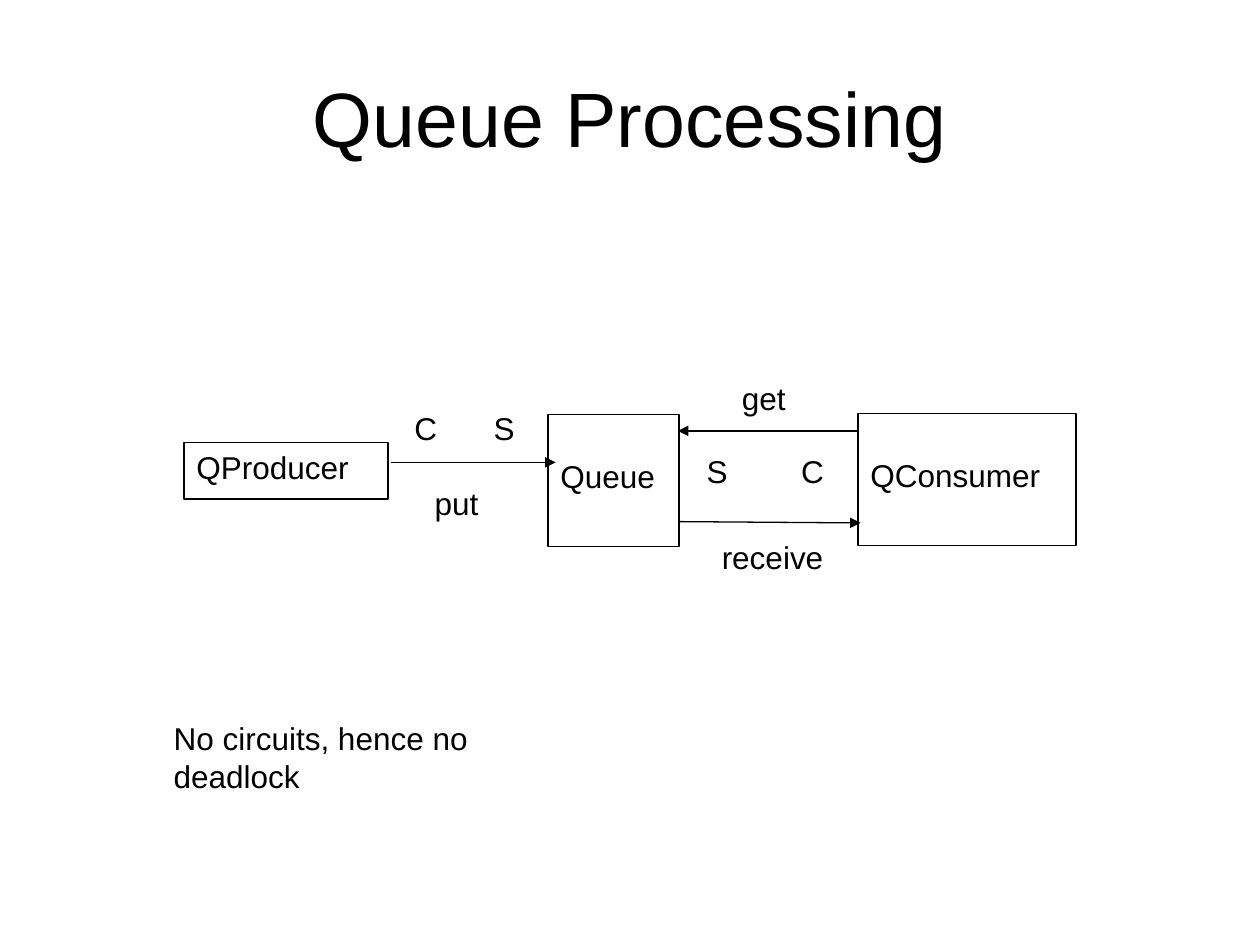
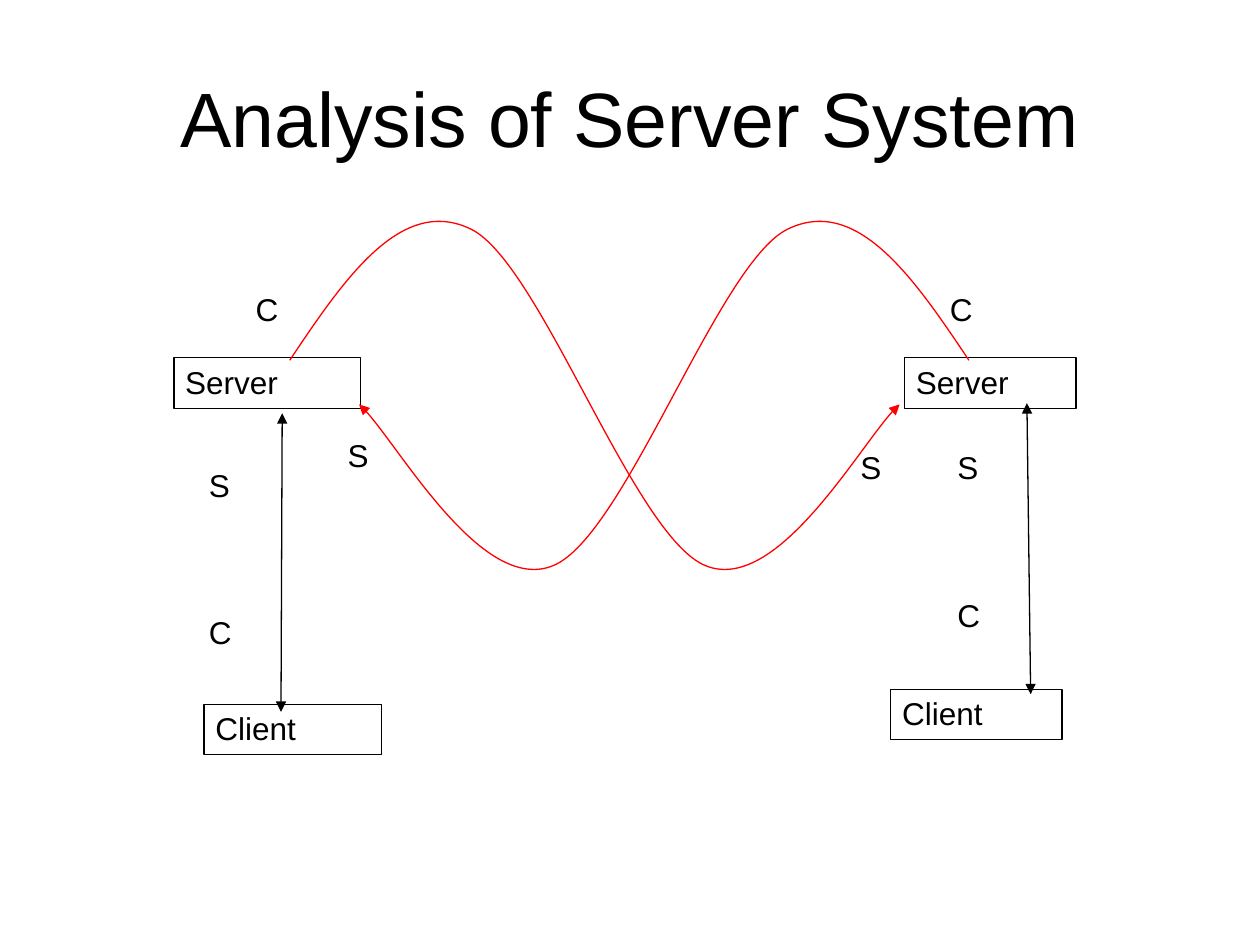
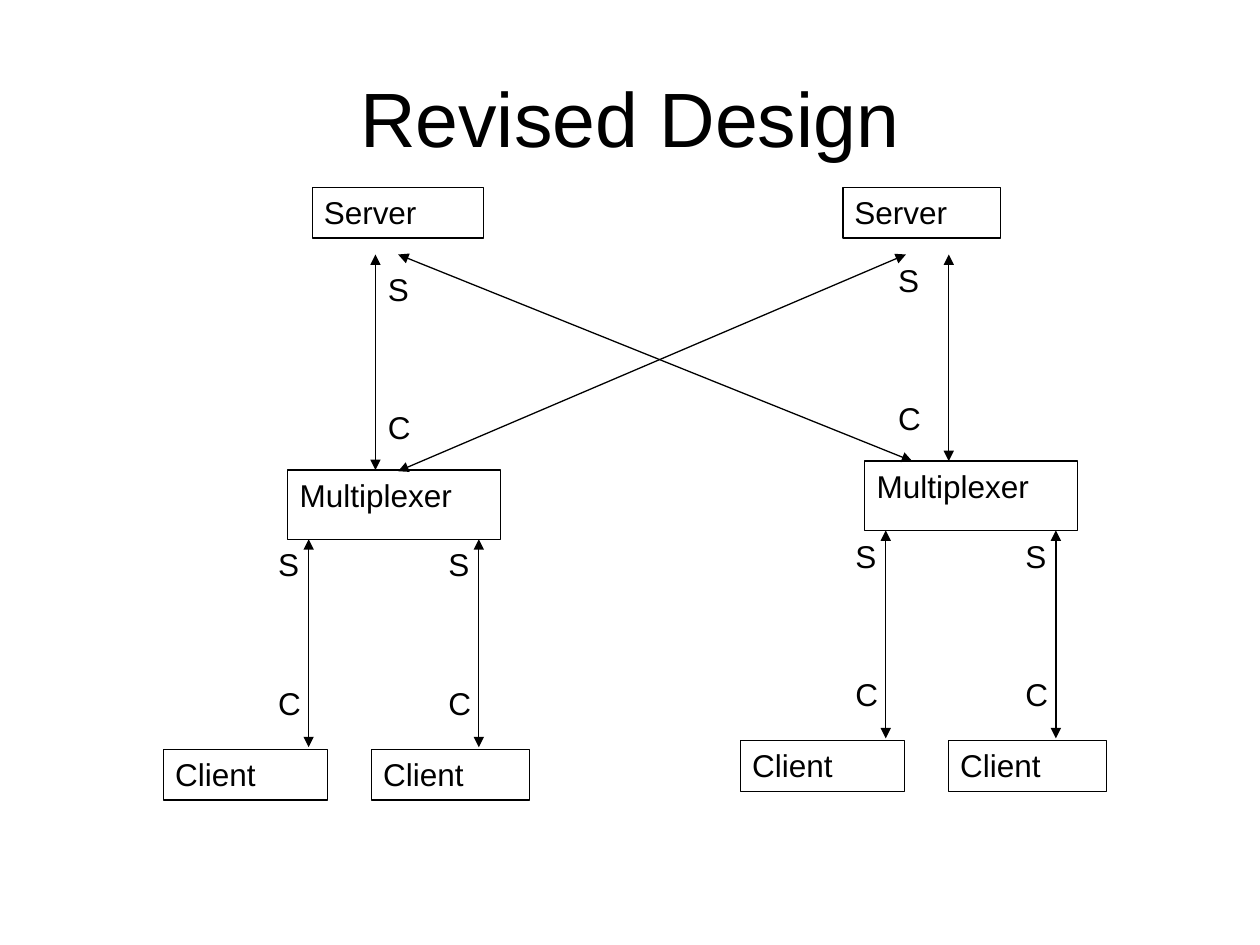
from dataclasses import dataclass
from typing import Optional

import pptx
import pptx.dml.color
import pptx.enum.shapes
import pptx.enum.text
import pptx.oxml
import pptx.oxml.ns
import pptx.presentation
import pptx.shapes.base
import pptx.slide
import pptx.util
from pptx.util import Inches

# Shared style
COLORS = {"paper": "FFFFFF", "ink": "000000", "cycle": "FF0000"}
FONT = {"name": "Arial", "bold": False}
BODY_SIZE, TITLE_SIZE = 18, 44
LINE_WIDTH = pptx.util.Pt(0.75)
LEFT = pptx.enum.text.PP_ALIGN.LEFT
CENTER = pptx.enum.text.PP_ALIGN.CENTER
TOP = pptx.enum.text.MSO_ANCHOR.TOP
MIDDLE = pptx.enum.text.MSO_ANCHOR.MIDDLE
LINE_HEIGHT = 0.29
BOX_HEIGHT = 0.4


@dataclass
class Box:
    text: str
    left: float
    top: float
    width: float
    height: float = BOX_HEIGHT
    filled: bool = False
    outlined: bool = True
    inset_x: float = 0.09
    inset_y: float = 0.04
    lines_above: int = 0


@dataclass
class Arrow:
    start: tuple[float, float]
    end: tuple[float, float]
    both_ends: bool = True


@dataclass
class Site:
    """A multiplexer, its server and its two clients."""
    left: float
    top: float
    server_left: float
    server_width: float
    link_x: float
    label_left: float


def node(text: str, left: float, top: float, width: float, height: float,
         lines_above: int = 0) -> Box:
    return Box(text, left, top, width, height, True, True, 0.1, 0.05, lines_above)


def label(text: str, left: float, top: float, width: float, height: float) -> Box:
    return Box(text, left, top, width, height, True, False, 0.1, 0.05)


def color(name: str) -> pptx.dml.color.RGBColor:
    return pptx.dml.color.RGBColor.from_string(COLORS[name])


def write_text(shape: pptx.shapes.base.BaseShape, text: str, size: int = BODY_SIZE,
               align=LEFT, **frame_format) -> None:
    frame = shape.text_frame
    for name, value in frame_format.items():
        setattr(frame, name, value)
    paragraph = frame.paragraphs[0]
    paragraph.alignment = align
    run = paragraph.add_run()
    run.text = text
    for name, value in {**FONT, "size": pptx.util.Pt(size)}.items():
        setattr(run.font, name, value)
    run.font.color.rgb = color("ink")


def draw_box(slide: pptx.slide.Slide, box: Box) -> None:
    shape = slide.shapes.add_shape(
        pptx.enum.shapes.MSO_SHAPE.RECTANGLE, Inches(box.left), Inches(box.top),
        Inches(box.width), Inches(box.height))
    shape.shadow.inherit = False
    if box.filled:
        shape.fill.solid()
        shape.fill.fore_color.rgb = color("paper")
    else:
        shape.fill.background()
    if box.outlined:
        shape.line.color.rgb = color("ink")
        shape.line.width = LINE_WIDTH
    else:
        shape.line.fill.background()
    write_text(shape, box.text, word_wrap=True, vertical_anchor=TOP,
               margin_left=Inches(box.inset_x), margin_right=Inches(box.inset_x),
               margin_top=Inches(box.inset_y + box.lines_above * LINE_HEIGHT),
               margin_bottom=Inches(box.inset_y))


def style_line(shape: pptx.shapes.base.BaseShape, color_name: str, both_ends: bool) -> None:
    shape.line.color.rgb = color(color_name)
    shape.line.width = LINE_WIDTH
    outline = shape.line._get_or_add_ln()
    for tag in ["a:headEnd", "a:tailEnd"] if both_ends else ["a:tailEnd"]:
        end = pptx.oxml.ns.qn(tag)
        outline.append(outline.makeelement(end, {"type": "triangle"}))


def draw_arrow(slide: pptx.slide.Slide, arrow: Arrow) -> None:
    points = [Inches(value) for value in (*arrow.start, *arrow.end)]
    connector = slide.shapes.add_connector(
        pptx.enum.shapes.MSO_CONNECTOR.STRAIGHT, *points)
    style_line(connector, "ink", arrow.both_ends)
    properties = connector._element.spPr
    properties.append(properties.makeelement(pptx.oxml.ns.qn("a:effectLst"), {}))


def draw_curve(slide: pptx.slide.Slide, points: list[tuple[float, float]]) -> None:
    """Draw Bézier curves through a start point and triples of control points."""
    start, *controls = [(Inches(x), Inches(y)) for x, y in points]
    builder = slide.shapes.build_freeform(*start)
    builder.add_line_segments(controls, close=False)
    shape = builder.convert_to_shape()
    shape.shadow.inherit = False
    shape.fill.background()
    style_line(shape, "cycle", False)
    # Join every three straight segments into one cubic segment
    segments = list(shape._element.iter(pptx.oxml.ns.qn("a:lnTo")))
    for first in range(0, len(segments), 3):
        outline = segments[first].getparent()
        cubic = outline.makeelement(pptx.oxml.ns.qn("a:cubicBezTo"), {})
        outline.append(cubic)
        for segment in segments[first:first + 3]:
            cubic.append(segment[0])
            outline.remove(segment)


def add_slide(presentation: pptx.presentation.Presentation, title: str,
              boxes: Optional[list[Box]] = None,
              arrows: Optional[list[Arrow]] = None) -> pptx.slide.Slide:
    slide = presentation.slides.add_slide(presentation.slide_layouts[6])
    slide.background.fill.solid()
    slide.background.fill.fore_color.rgb = color("paper")
    heading = slide.shapes.add_textbox(Inches(0.5), Inches(0.3), Inches(9), Inches(1.25))
    write_text(heading, title, TITLE_SIZE, CENTER, word_wrap=True, vertical_anchor=MIDDLE)
    for box in boxes or []:
        draw_box(slide, box)
    for arrow in arrows or []:
        draw_arrow(slide, arrow)
    return slide


# Slide 1
def add_queue_slide(presentation: pptx.presentation.Presentation) -> None:
    boxes = [
        node("QProducer", 1.46, 3.51, 1.62, 0.45),
        node("Queue", 4.35, 3.29, 1.04, 1.05, lines_above=1),
        node("QConsumer", 6.81, 3.28, 1.73, 1.05, lines_above=1),
    ]
    boxes += [label(text, left, top, width, 0.45) for text, left, top, width in [
        ("C", 3.19, 3.2, 0.39), ("S", 3.82, 3.2, 0.39), ("put", 3.35, 3.79, 0.65),
        ("C", 6.26, 3.54, 0.39), ("S", 5.51, 3.54, 0.39),
        ("get", 5.79, 2.96, 0.65), ("receive", 5.63, 4.22, 1.05)]]
    arrows = [
        Arrow((3.1, 3.67), (4.41, 3.67), False),
        Arrow((6.82, 3.42), (5.38, 3.42), False),
        Arrow((5.39, 4.14), (6.83, 4.15), False),
    ]
    slide = add_slide(presentation, "Queue Processing", boxes, arrows)
    note = slide.shapes.add_textbox(Inches(1.28), Inches(5.66), Inches(3.6), Inches(0.4))
    write_text(note, "No circuits, hence no deadlock", word_wrap=False)


# Slide 2
def add_analysis_slide(presentation: pptx.presentation.Presentation) -> None:
    label_width = {"S": 0.55, "C": 0.6}
    boxes = [label(text, left, top, label_width[text], 0.7) for text, left, top in [
        ("S", 6.73, 3.51), ("S", 2.66, 3.41), ("C", 1.93, 2.25), ("C", 7.44, 2.25),
        ("C", 1.56, 4.82), ("S", 1.56, 3.65), ("C", 7.5, 4.68), ("S", 7.5, 3.51)]]
    boxes += [
        Box("Server", 1.38, 2.84, 1.48), Box("Client", 1.62, 5.59, 1.41),
        Box("Server", 7.18, 2.84, 1.36), Box("Client", 7.07, 5.47, 1.36),
    ]
    arrows = [Arrow((2.23, 5.65), (2.24, 3.28)), Arrow((8.18, 5.51), (8.15, 3.2))]
    slide = add_slide(presentation, "Analysis of Server System", boxes, arrows)
    # The two requests that form the circuit mirror each other
    request = [(2.3, 2.86), (2.74, 2.2), (3.19, 1.55), (3.74, 1.82), (4.29, 2.09),
               (5.03, 4.26), (5.6, 4.49), (6.16, 4.72), (6.89, 3.42), (7.14, 3.21)]
    mirror_sum = 9.99
    draw_curve(slide, [(mirror_sum - x, y) for x, y in request])
    draw_curve(slide, request)


# Slide 3
def draw_link(slide: pptx.slide.Slide, label_left: float, label_top: float,
              x: float, top: float, bottom: float) -> None:
    draw_box(slide, label("S", label_left, label_top, 0.51, 0.55))
    draw_box(slide, label("C", label_left, label_top + 1.1, 0.55, 0.55))
    draw_arrow(slide, Arrow((x, bottom), (x, top)))


def draw_site(slide: pptx.slide.Slide, site: Site) -> None:
    server_link_top, node_height, link_length = 2.02, 0.55, 1.65
    draw_link(slide, site.label_left, site.top - 1.64, site.link_x,
              server_link_top, site.top)
    bottom = site.top + node_height
    for client_offset, client_width, link_offset in [(-0.98, 1.3, 0.17), (0.67, 1.25, 1.52)]:
        draw_box(slide, Box("Client", site.left + client_offset, site.top + 2.22, client_width))
        x = site.left + link_offset
        draw_link(slide, x - 0.34, bottom, x, bottom, bottom + link_length)
    draw_box(slide, node("Multiplexer", site.left, site.top, 1.69, node_height))
    draw_box(slide, Box("Server", site.server_left, 1.49, site.server_width))


def add_revised_slide(presentation: pptx.presentation.Presentation) -> None:
    slide = add_slide(presentation, "Revised Design")
    for site in [Site(6.86, 3.66, 6.69, 1.25, 7.53, 7.03),
                 Site(2.28, 3.73, 2.48, 1.36, 2.98, 2.98)]:
        draw_site(slide, site)
    for crossing in [Arrow((3.16, 3.74), (7.19, 2.02)), Arrow((7.24, 3.66), (3.16, 2.02))]:
        draw_arrow(slide, crossing)


def main() -> None:
    presentation = pptx.Presentation()
    presentation.slide_width = Inches(10)
    presentation.slide_height = Inches(7.5)
    add_queue_slide(presentation)
    add_analysis_slide(presentation)
    add_revised_slide(presentation)
    presentation.save("out.pptx")


if __name__ == "__main__":
    main()
